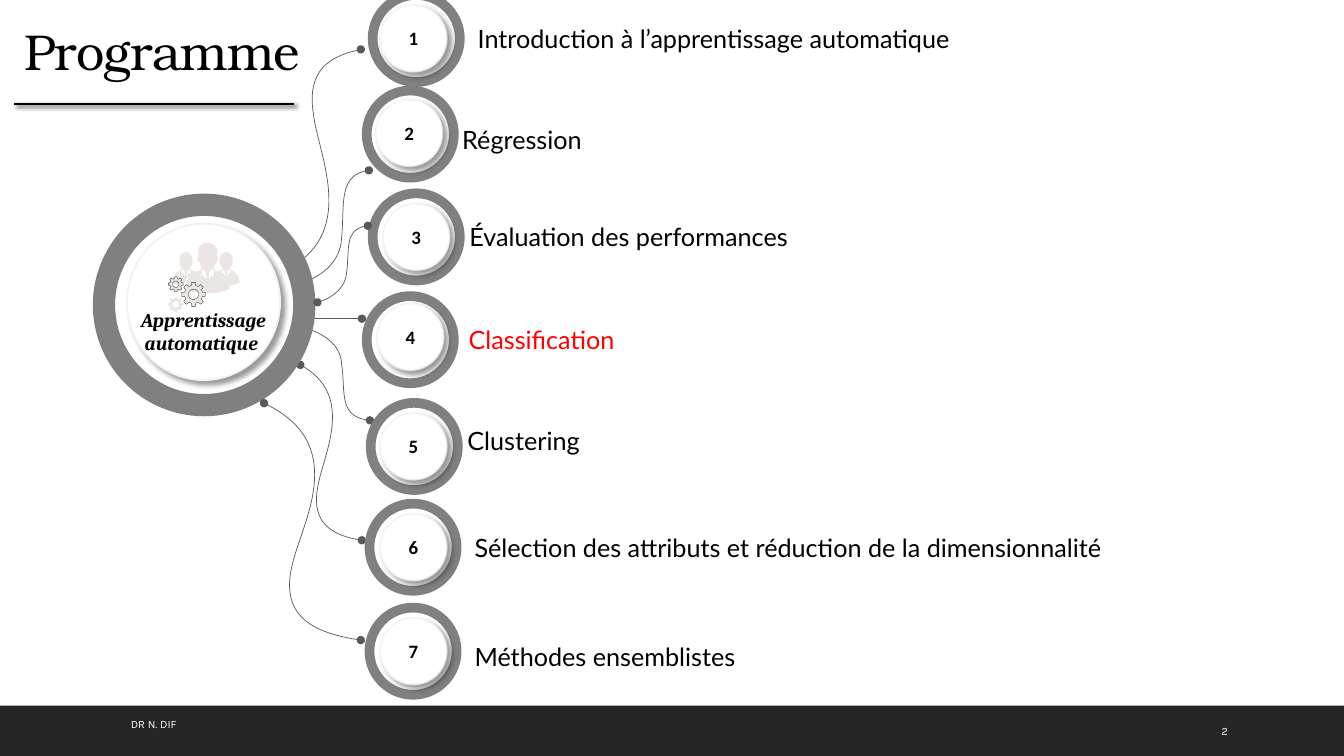
import math

from lxml import etree
from pptx import Presentation
from pptx import util as u
from pptx.dml.color import RGBColor
from pptx.enum import shapes, text
from pptx.oxml.ns import qn

BLACK = RGBColor(0x00, 0x00, 0x00)
WHITE = RGBColor(0xFF, 0xFF, 0xFF)
RED = RGBColor(0xFF, 0x00, 0x00)
GRAY = RGBColor(0x80, 0x80, 0x80)
RIM = RGBColor(0xF2, 0xF2, 0xF2)
WIRE = RGBColor(0x59, 0x59, 0x59)
BAND = RGBColor(0x26, 0x26, 0x26)
ICON = RGBColor(0xEB, 0xE6, 0xE4)
ICON_LINE = RGBColor(0x39, 0x30, 0x2A)
OVAL = shapes.MSO_SHAPE.OVAL
GRID = u.Cm(2.54) / 1000

TOPICS = [
    ("Introduction à l’apprentissage automatique", BLACK, (9.27, -0.25), (9.58, 0.13), (11.79, 0.46)),
    ("Régression", BLACK, (9.12, 2.16), (9.47, 2.51), (11.4, 3.0)),
    ("Évaluation des performances", BLACK, (9.27, 4.75), (9.65, 5.13), (11.58, 5.44)),
    ("Classification", RED, (9.12, 7.34), (9.5, 7.65), (11.56, 8.05)),
    ("Clustering", BLACK, (9.22, 10.03), (9.58, 10.41), (11.53, 10.59)),
    ("Sélection des attributs et réduction de la dimensionnalité", BLACK,
     (9.19, 12.57), (9.58, 12.95), (11.71, 13.28)),
    ("Méthodes ensemblistes", BLACK, (9.19, 15.19), (9.58, 15.57), (11.71, 16.03)),
]
BACK_WIRES = [
    "298,362 355,393,319,454,315,485 309,520,333,532,359,536",
    "292,263 353,225,315,150,311,113 304,69,330,55,358,49",
    "300,325 316,328,338,341,339,361 343,387,335,414,367,417",
    "300,280 316,276,338,260,339,236 342,205,335,173,366,169",
]
FRONT_WIRES = [
    "262,400 351,442,296,524,289,565 279,614,317,629,358,635",
    "315,300 327,297,343,286,344,270 347,248,341,227,365,224",
]
LEADER = (
    "206,241 201,241,197,244,197,248 196,250,197,251,197,254 195,255,195,258,198,260 "
    "198,262,199,263,200,264 200,266,200,267,198,269 196,269,192,269,188,274 "
    "186,277,185,280,184,286 192,293,222,292,228,286 227,283,227,277,225,275 "
    "224,273,218,270,214,269 212,267,212,266,212,265 213,263,214,263,214,261 "
    "218,258,216,254,215,253 216,250,216,249,215,246 213,243,210,241,206,241 / "
    "201,267 202,268,204,269,205,270 204,271,204,271,204,271 204,272,205,273,205,274 "
    "204,277 203,276,202,274,202,273 200,275 200,273,200,272,200,269 201,267 / "
    "211,267 212,269 212,271,212,273,212,275 210,273 210,274,209,276,208,277 207,274 "
    "208,273,208,272,208,271 208,271,208,271,207,270 208,269,210,268,211,267")
MEMBER = (
    "185,250 182,250,179,252,178,255 178,256,178,257,179,258 177,259,178,261,179,263 "
    "179,264,181,265,181,266 181,267,180,267,179,268 178,269,176,269,173,273 "
    "172,274,172,276,171,280 172,282,179,283,182,283 183,281,184,278,185,276 "
    "189,273,193,271,194,270 193,269,192,269,190,268 188,267,188,267,188,266 "
    "189,264,190,264,190,263 192,261,191,259,191,258 191,256,191,255,190,254 "
    "189,251,187,250,185,250 / "
    "181,267 182,268,183,268,184,269 183,270,183,270,183,270 183,270,184,271,184,272 "
    "183,274 183,273,182,272,182,271 181,272 181,271,180,270,180,269 181,267 / "
    "188,267 189,269 189,272 187,271 187,272,186,273,186,274 185,272 "
    "186,271,186,270,186,270 186,270,186,270,185,269 186,269,187,268,188,267")


def contours(outline):
    """Read contours whose segments are points (2 numbers) or Bézier triples (6)."""
    return [[tuple(float(n) for n in seg.split(",")) for seg in part.split()]
            for part in outline.split("/")]


def mirrored(parts, axis):
    """Reflect contours about a vertical axis."""
    return [[tuple(2 * axis - n if i % 2 == 0 else n for i, n in enumerate(seg))
             for seg in part] for part in parts]


def gear(cx, cy, radius, teeth=8):
    """Return the contours of a toothed wheel with a round hole."""
    def polar(r, deg):
        a = math.radians(deg)
        return cx + r * math.cos(a), cy + r * math.sin(a)
    rim = [polar(radius * k, i * 360 / teeth + d) for i in range(teeth)
           for k, d in ((0.76, -14), (1, -9), (1, 9), (0.76, 14))]
    return [rim, [polar(radius * 0.42, -15 * i) for i in range(24)]]


def write(sp, content, font="Lato", size=18, color=BLACK, bold=False, italic=False,
          align=text.PP_ALIGN.LEFT, anchor=text.MSO_ANCHOR.TOP):
    """Fill a shape with formatted paragraphs and return the text frame."""
    tf = sp.text_frame
    tf.word_wrap = True
    tf.auto_size = text.MSO_AUTO_SIZE.NONE
    tf.vertical_anchor = anchor
    for i, line in enumerate(content.split("\n")):
        p = tf.paragraphs[0] if i == 0 else tf.add_paragraph()
        p.alignment = align
        r = p.add_run()
        r.text = line
        r.font.name, r.font.size, r.font.color.rgb = font, u.Pt(size), color
        r.font.bold, r.font.italic = bold, italic
    return tf


class Deck:
    """Holds the style and the current slide."""

    def __init__(self):
        self.prs = Presentation()
        self.prs.slide_width, self.prs.slide_height = u.Cm(33.87), u.Cm(19.05)
        self.s = self.prs.slides.add_slide(self.prs.slide_layouts[5])

    def effects(self, sp, shadow=None):
        """Clear the theme shadow and optionally set (alpha, blur, distance)."""
        pr = sp._element.spPr
        fx = pr.find(qn("a:effectLst"))
        if fx is None:
            fx = etree.SubElement(pr, qn("a:effectLst"))
        if shadow:
            alpha, blur, dist = shadow
            sh = etree.SubElement(fx, qn("a:outerShdw"), blurRad=str(u.Pt(blur)),
                                  dist=str(u.Pt(dist)), dir="2700000", algn="tl", rotWithShape="0")
            clr = etree.SubElement(sh, qn("a:srgbClr"), val="000000")
            etree.SubElement(clr, qn("a:alpha"), val=str(alpha * 1000))

    def paint(self, sp, fill=None, line=None, width=1.25, alpha=100, shadow=None):
        """Set fill, outline and shadow of a shape."""
        sp.shadow.inherit = False
        if fill is None:
            sp.fill.background()
        else:
            sp.fill.solid()
            sp.fill.fore_color.rgb = fill
        if line is None:
            sp.line.fill.background()
        else:
            sp.line.color.rgb, sp.line.width = line, u.Pt(width)
            if alpha < 100:
                clr = sp._element.spPr.find(qn("a:ln")).find(".//" + qn("a:srgbClr"))
                etree.SubElement(clr, qn("a:alpha"), val=str(alpha * 1000))
        self.effects(sp, shadow)

    def shape(self, kind, x, y, w, h, **style):
        """Add a preset shape."""
        sp = self.s.shapes.add_shape(kind, u.Cm(x), u.Cm(y), u.Cm(w), u.Cm(h))
        self.paint(sp, **style)
        return sp

    def ring(self, x, y, d):
        """Add a gray ring."""
        self.shape(shapes.MSO_SHAPE.DONUT, x, y, d, d, fill=GRAY).adjustments[0] = 0.1

    def disc(self, x, y, w, h, alpha=100):
        """Add a raised white disc."""
        return self.shape(OVAL, x, y, w, h, fill=WHITE, line=RIM, alpha=alpha, shadow=(40, 4, 4))

    def label(self, content, x, y, w, h, **fmt):
        """Add a text box."""
        return write(self.s.shapes.add_textbox(u.Cm(x), u.Cm(y), u.Cm(w), u.Cm(h)), content, **fmt)

    def dots(self, sp):
        """Put an oval at both ends of a line."""
        ln = sp._element.spPr.find(qn("a:ln"))
        for end in ("a:headEnd", "a:tailEnd"):
            etree.SubElement(ln, qn(end), type="oval")

    def line(self, x1, x2, y, color, width, shadow=None):
        """Add a horizontal connector."""
        c = self.s.shapes.add_connector(shapes.MSO_CONNECTOR.STRAIGHT, u.Cm(x1), u.Cm(y), u.Cm(x2), u.Cm(y))
        c.line.color.rgb, c.line.width = color, u.Pt(width)
        self.effects(c, shadow)
        return c

    def outline(self, parts, closed=True, **style):
        """Add a freeform made of straight and Bézier segments."""
        fb, sizes = None, []
        for part in parts:
            start, *segs = [[round(n * 10) for n in seg] for seg in part]
            if fb is None:
                fb = self.s.shapes.build_freeform(*start, scale=GRID)
            else:
                fb.move_to(*start)
            fb.add_line_segments([pt for seg in segs for pt in zip(seg[::2], seg[1::2])], close=closed)
            sizes += [len(seg) // 2 for seg in segs]
        sp = fb.convert_to_shape()
        steps = iter(list(sp._element.iter(qn("a:lnTo"))))
        for size in sizes:
            run = [next(steps) for _ in range(size)]
            if size == 3:
                run[0].tag = qn("a:cubicBezTo")
                for extra in run[1:]:
                    run[0].append(extra[0])
                    extra.getparent().remove(extra)
        self.paint(sp, **style)
        return sp

    def wire(self, outline):
        """Add a curved line with dotted ends."""
        self.dots(self.outline(contours(outline), closed=False, line=WIRE, width=0.5))

    def title(self, content, x, y, w, h):
        """Place and format the title placeholder."""
        sp = self.s.shapes.title
        sp.left, sp.top, sp.width, sp.height = u.Cm(x), u.Cm(y), u.Cm(w), u.Cm(h)
        p = write(sp, content, font="TeX Gyre Bonum", size=36, anchor=text.MSO_ANCHOR.BOTTOM).paragraphs[0]
        p.line_spacing = 0.9
        p.runs[0].font._element.set("spc", "-50")


def main():
    """Build the programme slide."""
    center, middle = text.PP_ALIGN.CENTER, text.MSO_ANCHOR.MIDDLE
    d = Deck()
    d.shape(shapes.MSO_SHAPE.RECTANGLE, 0, 17.78, 33.87, 1.27, fill=BAND)
    for outline in BACK_WIRES:
        d.wire(outline)
    d.dots(d.line(7.65, 9.12, 8.03, WIRE, 0.5))
    d.ring(2.34, 4.88, 5.61)
    d.disc(3.2, 5.64, 3.86, 3.94)
    member = contours(MEMBER)
    for person in (contours(LEADER), member, mirrored(member, 204.5)):
        d.outline(person, fill=ICON)
    for cx, cy, radius, edge in ((192, 292, 12, ICON_LINE), (174.5, 282, 7.5, ICON_LINE), (174.5, 302, 7.5, None)):
        d.outline(gear(cx, cy, radius), fill=ICON, line=edge, width=0.25)
    d.label("Apprentissage\nautomatique ", 2.64, 7.62, 4.98, 1.45, font="Cambria", size=14,
            bold=True, italic=True, align=center, anchor=middle)
    for number, (topic, color, ring, disc, label) in enumerate(TOPICS, 1):
        d.ring(*ring, 2.44)
        tf = write(d.disc(*disc, 1.68, 1.68, alpha=72), str(number), font="Calibri", size=13.5,
                   bold=True, align=center, anchor=middle)
        tf.margin_left = tf.margin_right = 0
        d.label(topic, *label, 20, 1.02, color=color)
    for outline in FRONT_WIRES:
        d.wire(outline)
    d.title("Programme", 0.36, -0.28, 9.53, 2.46)
    d.line(0.36, 7.42, 2.62, BLACK, 2, shadow=(60, 3, 2))
    small = dict(font="Karla", size=8, color=WHITE, anchor=middle)
    d.label("DR N. DIF", 1.2 * 2.54, 17.91, 18.95, 0.66, **small)
    d.label("2", 30.53, 17.91, 2.16, 1.02, **small)
    d.prs.save("out.pptx")


if __name__ == "__main__":
    main()
